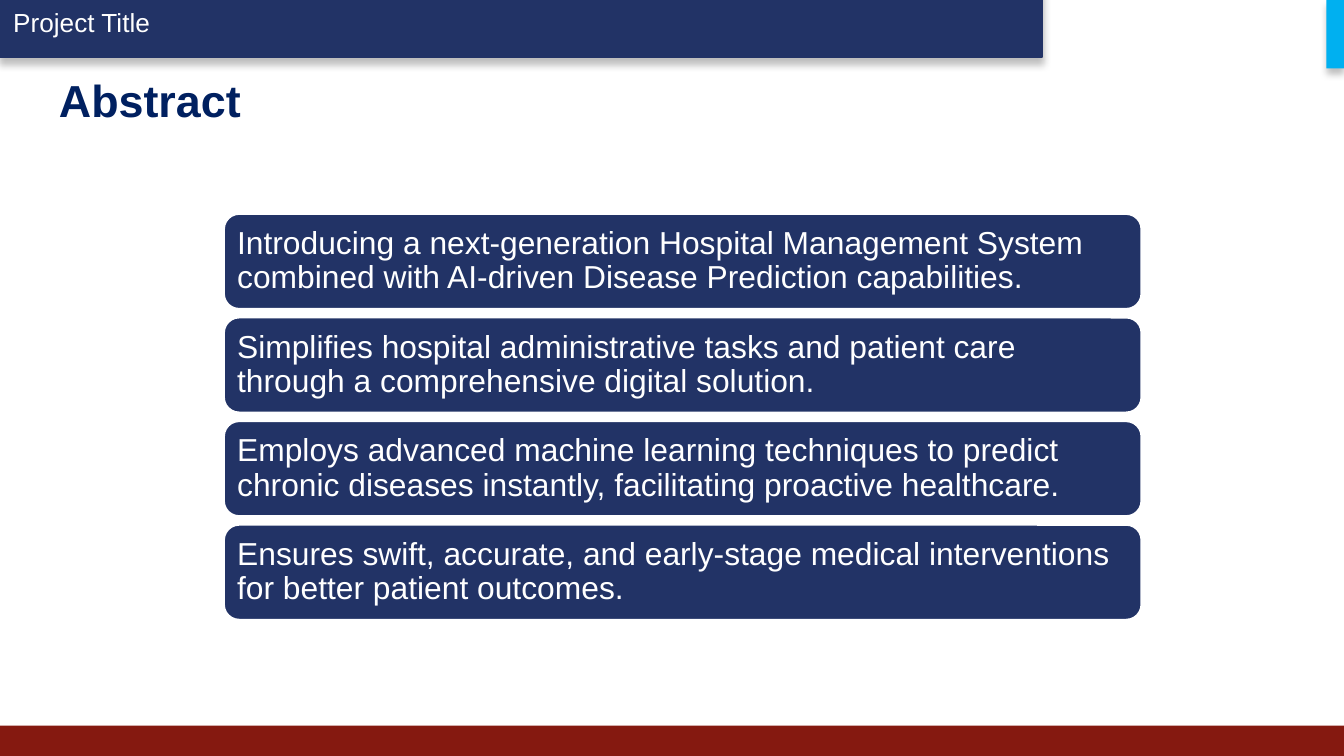
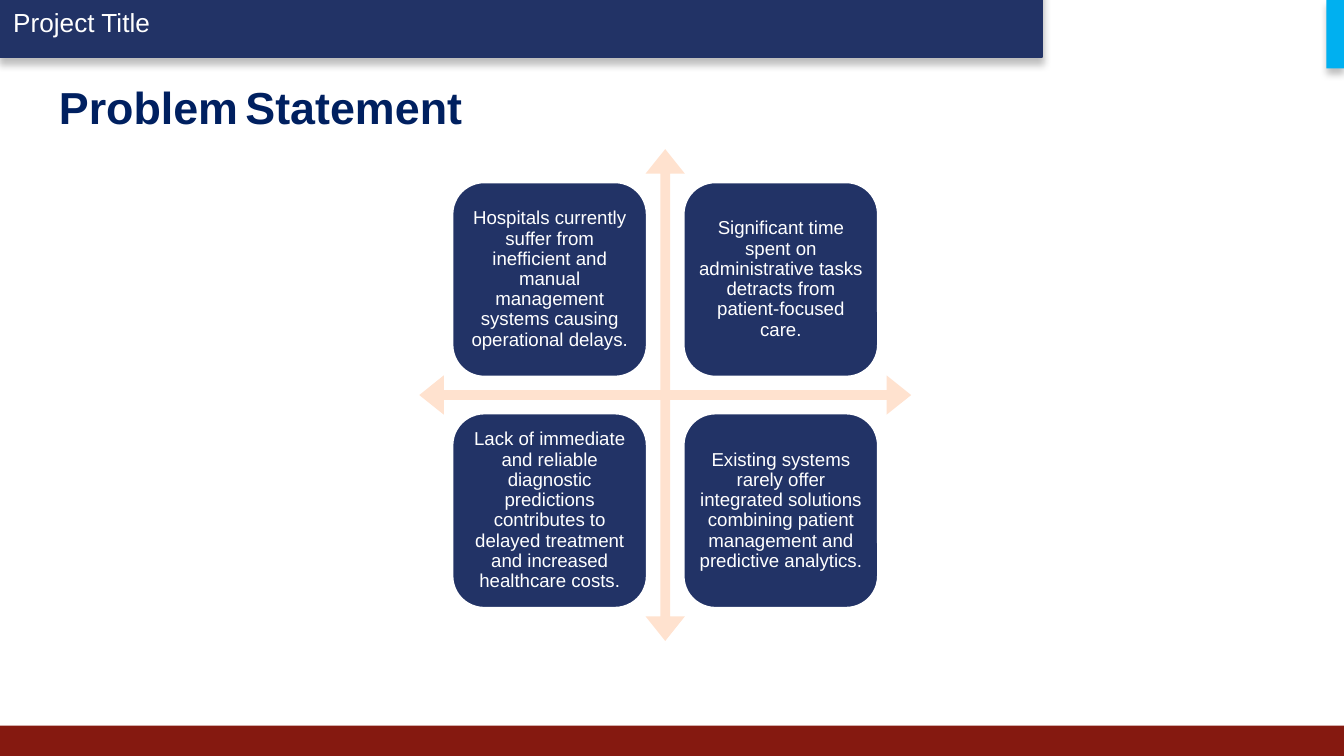
from dataclasses import dataclass
from itertools import product

from lxml import etree
from pptx import Presentation
from pptx.dml.color import RGBColor
from pptx.enum.shapes import MSO_SHAPE
from pptx.enum.text import MSO_ANCHOR, PP_ALIGN
from pptx.oxml.ns import qn
from pptx.shapes.autoshape import Shape
from pptx.slide import Slide
from pptx.text.text import TextFrame
from pptx.util import Inches, Pt

RECT = MSO_SHAPE.RECTANGLE
ROUNDED = MSO_SHAPE.ROUNDED_RECTANGLE
QUAD_ARROW = MSO_SHAPE.QUAD_ARROW
TOP, MIDDLE = MSO_ANCHOR.TOP, MSO_ANCHOR.MIDDLE
LEFT, CENTER = PP_ALIGN.LEFT, PP_ALIGN.CENTER

NAVY = RGBColor(0x22, 0x33, 0x66)
TITLE_NAVY = RGBColor(0x00, 0x20, 0x60)
MAROON = RGBColor(0x85, 0x19, 0x10)
SKY = RGBColor(0x00, 0xB0, 0xF0)
PEACH = RGBColor(0xFF, 0xE2, 0xCF)
AMBER = RGBColor(0xFF, 0xAB, 0x40)
WHITE = RGBColor(0xFF, 0xFF, 0xFF)
FONT = "Arial"

# The slide is a grid of square cells, 100 columns wide
SLIDE_W, SLIDE_H = Inches(10), Inches(5.625)
COLUMNS = 100
CELL = SLIDE_W / COLUMNS
ROWS = SLIDE_H / CELL


@dataclass(frozen=True)
class Box:
    """A place on the grid, in columns and rows."""
    col: float
    row: float
    cols: float
    rows: float

    def lengths(self) -> list[int]:
        return [round(n * CELL) for n in (self.col, self.row, self.cols, self.rows)]


@dataclass(frozen=True)
class Run:
    text: str
    size: float
    color: RGBColor = WHITE
    bold: bool = False


@dataclass(frozen=True)
class Band:
    box: Box
    fill: RGBColor
    outline: RGBColor | None = None
    shadow: bool = False
    label: Run | None = None


@dataclass(frozen=True)
class CardStyle:
    size: float
    inset: float
    align: PP_ALIGN


BANDS = [
    Band(Box(0, -0.9, 77.5, 5.1), NAVY, NAVY, True, Run("Project Title", 14)),
    Band(Box(0, 54, COLUMNS, ROWS - 54), MAROON),
    Band(Box(98.7, 0, 1.3, 5.1), SKY, shadow=True),
]
TITLE_BOX = Box(3.4, 4.9, 93.2, 6.3)
WIDE_CARD = CardStyle(17, 0.7, LEFT)
SQUARE_CARD = CardStyle(10, 0.4, CENTER)

ABSTRACT_POINTS = [
    "Introducing a next-generation Hospital Management System combined with "
    "AI-driven Disease Prediction capabilities.",
    "Simplifies hospital administrative tasks and patient care through a "
    "comprehensive digital solution.",
    "Employs advanced machine learning techniques to predict chronic diseases "
    "instantly, facilitating proactive healthcare.",
    "Ensures swift, accurate, and early-stage medical interventions for better "
    "patient outcomes.",
]
PROBLEMS = [
    "Hospitals currently suffer from inefficient and manual management systems "
    "causing operational delays.",
    "Significant time spent on administrative tasks detracts from "
    "patient-focused care.",
    "Lack of immediate and reliable diagnostic predictions contributes to "
    "delayed treatment and increased healthcare costs.",
    "Existing systems rarely offer integrated solutions combining patient "
    "management and predictive analytics.",
]


def write(frame: TextFrame, runs: list[Run], anchor: MSO_ANCHOR,
          align: PP_ALIGN = LEFT, spacing: float = 1.0) -> None:
    frame.word_wrap = True
    frame.vertical_anchor = anchor
    paragraph = frame.paragraphs[0]
    paragraph.alignment = align
    paragraph.line_spacing = spacing
    for part in runs:
        run = paragraph.add_run()
        run.text = part.text
        run.font.name = FONT
        run.font.size = Pt(part.size)
        run.font.bold = part.bold
        run.font.color.rgb = part.color


def add_filled(slide: Slide, kind: MSO_SHAPE, box: Box, fill: RGBColor,
               outline: RGBColor | None = None) -> Shape:
    shape = slide.shapes.add_shape(kind, *box.lengths())
    shape.shadow.inherit = False
    shape.fill.solid()
    shape.fill.fore_color.rgb = fill
    if outline is None:
        shape.line.fill.background()
    else:
        shape.line.color.rgb = outline
        shape.line.width = Pt(2)
    return shape


def drop_shadow(shape: Shape) -> None:
    effects = shape._element.spPr.find(qn("a:effectLst"))
    shadow = etree.SubElement(effects, qn("a:outerShdw"), blurRad=str(Pt(4)),
                              dist=str(Pt(3)), dir="5400000", rotWithShape="0")
    color = etree.SubElement(shadow, qn("a:srgbClr"), val="000000")
    etree.SubElement(color, qn("a:alpha"), val="25000")


def add_band(slide: Slide, band: Band) -> None:
    shape = add_filled(slide, RECT, band.box, band.fill, band.outline)
    if band.shadow:
        drop_shadow(shape)
    if band.label:
        write(shape.text_frame, [band.label], MIDDLE)


def add_card(slide: Slide, box: Box, text: str, style: CardStyle) -> None:
    card = add_filled(slide, ROUNDED, box, NAVY, WHITE)
    frame = card.text_frame
    inset = round(style.inset * CELL)
    frame.margin_left = frame.margin_right = inset
    frame.margin_top = frame.margin_bottom = inset
    write(frame, [Run(text, style.size)], MIDDLE, style.align, 0.9)


def add_titled_slide(deck: Presentation, title: list[Run], top_inset: float) -> Slide:
    slide = deck.slides.add_slide(deck.slide_layouts[6])
    for band in BANDS:
        add_band(slide, band)
    frame = slide.shapes.add_textbox(*TITLE_BOX.lengths()).text_frame
    frame.margin_top = round(top_inset * CELL)
    write(frame, title, TOP)
    return slide


def title_run(text: str) -> Run:
    return Run(text, 24, TITLE_NAVY, True)


def build_abstract(deck: Presentation) -> None:
    slide = add_titled_slide(deck, [title_run("Abstract")], 0.5)
    # Stack of statements
    first_row, pitch = 15.85, 7.71
    for i, point in enumerate(ABSTRACT_POINTS):
        add_card(slide, Box(16.6, first_row + i * pitch, 68.4, 7.2), point, WIDE_CARD)


def build_problem_statement(deck: Presentation) -> None:
    title = [title_run("Problem"), Run(" ", 14, AMBER, True), title_run("Statement")]
    slide = add_titled_slide(deck, title, 1)
    # Crossed arrows, with one problem in each quadrant
    cross = Box(31.2, 11.1, 36.6, 36.6)
    arrows = add_filled(slide, QUAD_ARROW, cross, PEACH)
    for i, share in enumerate((0.02, 0.04, 0.05)):
        arrows.adjustments[i] = share
    side, pitch, margin = 14.6, 17.2, 2.4
    for (row, col), problem in zip(product(range(2), repeat=2), PROBLEMS):
        box = Box(cross.col + margin + col * pitch,
                  cross.row + margin + row * pitch, side, side)
        add_card(slide, box, problem, SQUARE_CARD)


def main() -> None:
    deck = Presentation()
    deck.slide_width, deck.slide_height = SLIDE_W, SLIDE_H
    build_abstract(deck)
    build_problem_statement(deck)
    deck.save("out.pptx")


if __name__ == "__main__":
    main()
